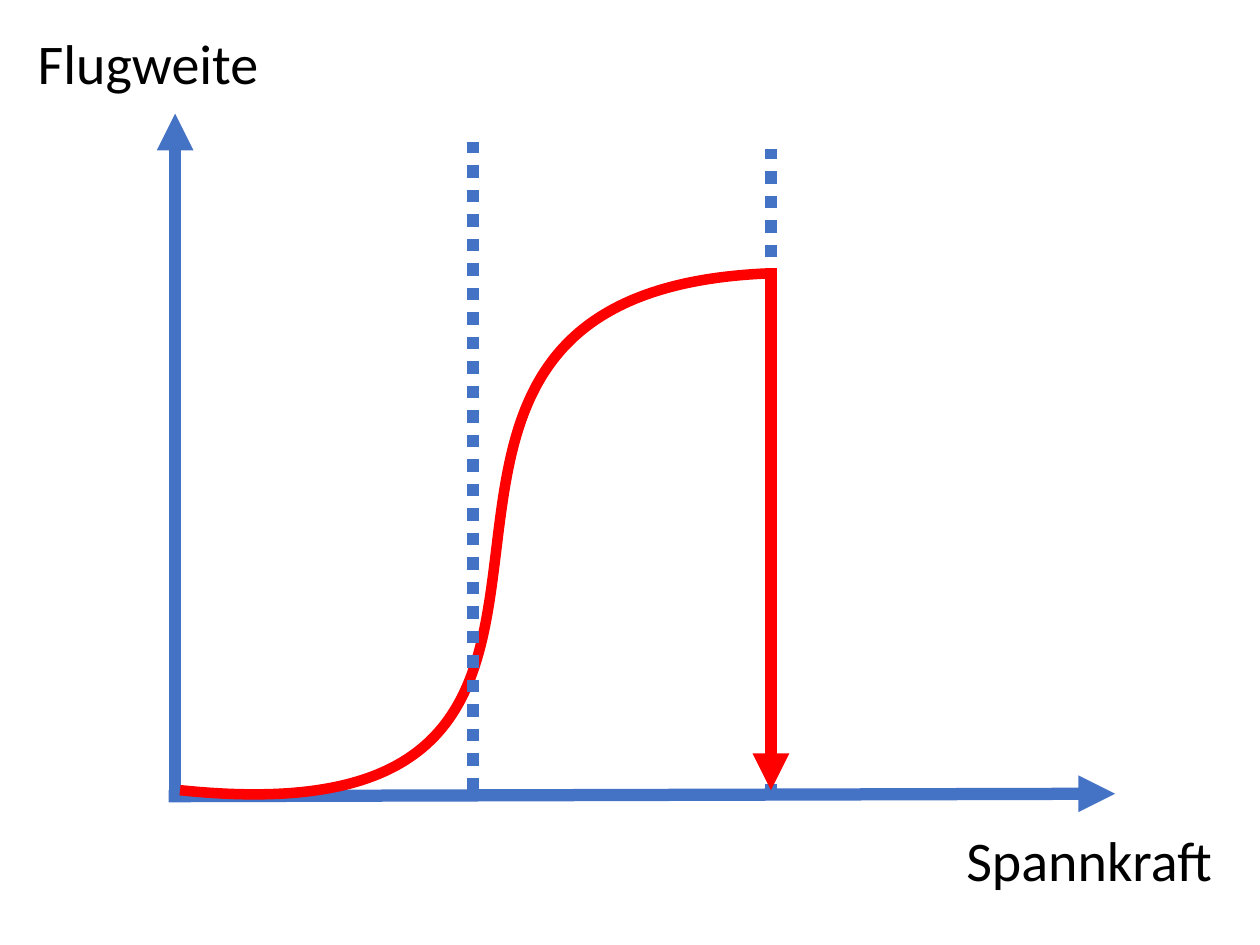
from lxml import etree
from pptx import Presentation
from pptx import util as u
from pptx.dml.color import RGBColor
from pptx.enum import dml, shapes, text
from pptx.oxml.ns import qn

Cm = u.Cm
THEME = {
    "axis": RGBColor(0x44, 0x72, 0xC4),
    "curve": RGBColor(0xFF, 0x00, 0x00),
    "text": RGBColor(0x00, 0x00, 0x00),
    "font": "Calibri",
    "label": u.Pt(32),
    "line": u.Pt(7),
    "curve_line": u.Pt(6),
}


def add_line(parent, start, end, color, dash=None, arrow=False):
    """Draw a straight line between two points in cm, dashed or with an arrow."""
    line = parent.add_connector(
        shapes.MSO_CONNECTOR.STRAIGHT, *(Cm(n) for n in start + end))
    line.line.color.rgb = color
    line.line.width = THEME["line"]
    if dash:
        line.line.dash_style = dash
    if arrow:
        etree.SubElement(line.line._get_or_add_ln(), qn("a:tailEnd"), type="triangle")
    etree.SubElement(line._element.spPr, qn("a:effectLst"))


prs = Presentation()
prs.slide_width, prs.slide_height = Cm(25.4), Cm(19.05)
slide = prs.slides.add_slide(prs.slide_layouts[6])

# Axis labels
for wording, left, top, width in (("Flugweite", 0.51, 0.46, 5.0),
                                  ("Spannkraft", 19.23, 16.51, 5.56)):
    label = slide.shapes.add_textbox(Cm(left), Cm(top), Cm(width), Cm(1.63)).text_frame
    label.word_wrap = False
    label.auto_size = text.MSO_AUTO_SIZE.SHAPE_TO_FIT_TEXT
    run = label.paragraphs[0].add_run()
    run.text = wording
    for key, value in {"name": THEME["font"], "size": THEME["label"]}.items():
        setattr(run.font, key, value)
    run.font.color.rgb = THEME["text"]

# Axes
add_line(slide.shapes, (3.4, 16.05), (22.48, 16.0), THEME["axis"], arrow=True)
add_line(slide.shapes, (3.53, 16.0), (3.53, 2.29), THEME["axis"], arrow=True)

# Flight distance: the lowest point sets the frame, then one Bézier replaces the segments
start, lowest, end = (3.63, 15.93), (5.1, 16.0), (15.54, 5.51)
controls = ((14.73, 17.09), (5.49, 5.89))
builder = slide.shapes.build_freeform(Cm(start[0]), Cm(start[1]))
builder.add_line_segments([(Cm(x), Cm(y)) for x, y in (lowest, end)], close=False)
curve = builder.convert_to_shape()
curve.shadow.inherit = False
curve.fill.background()
curve.line.color.rgb = THEME["curve"]
curve.line.width = THEME["curve_line"]
outline = curve._element.spPr.find(".//" + qn("a:path"))
for segment in outline.findall(qn("a:lnTo")):
    outline.remove(segment)
bezier = etree.SubElement(outline, qn("a:cubicBezTo"))
for x, y in (*controls, end):
    etree.SubElement(bezier, qn("a:pt"),
                     x=str(Cm(x) - curve.left), y=str(Cm(y) - curve.top))

# Limits between the ranges
limits = slide.shapes.add_group_shape().shapes
for x, bottom, top in ((9.53, 15.93, 2.87), (15.54, 16.05, 3.0)):
    add_line(limits, (x, bottom), (x, top), THEME["axis"],
             dash=dml.MSO_LINE.ROUND_DOT)

# Sudden drop at the breaking point
add_line(slide.shapes, (15.54, 5.41), (15.54, 15.93), THEME["curve"], arrow=True)

prs.save("out.pptx")
